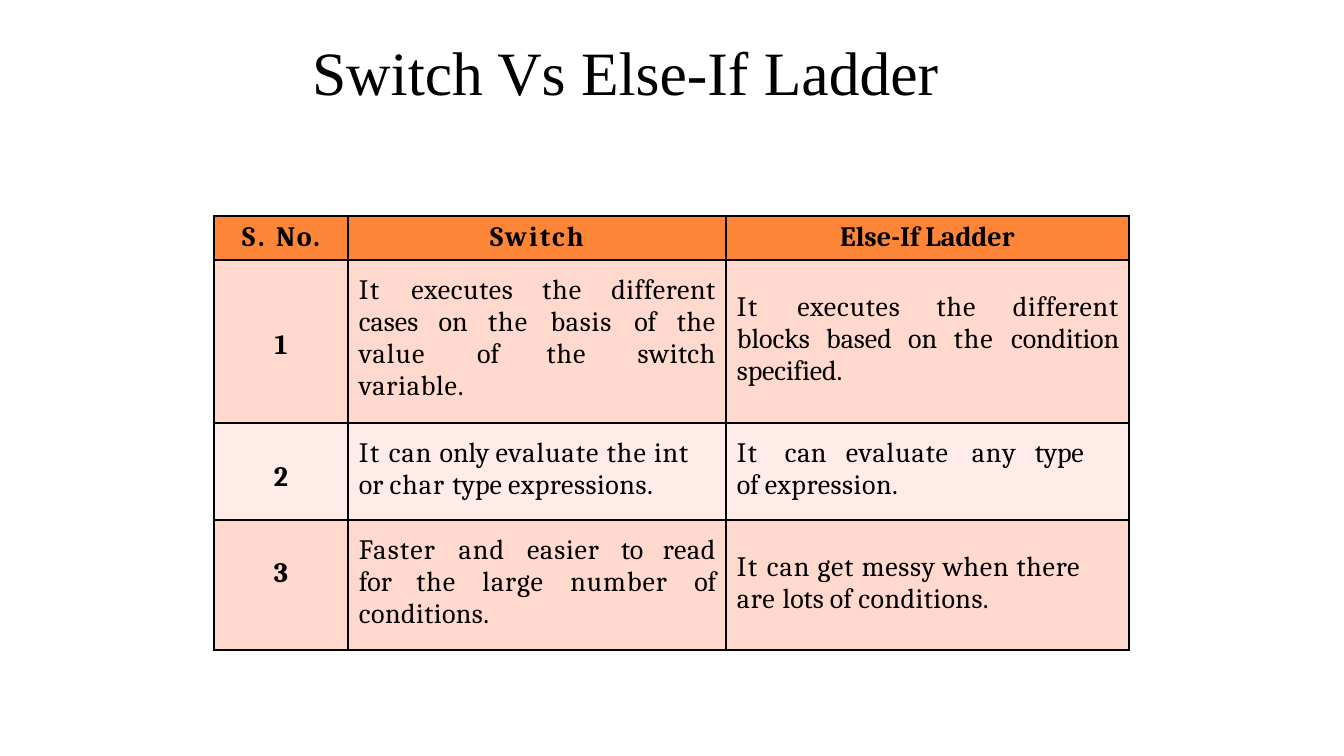
from lxml import etree
from pptx import Presentation
from pptx.dml.color import RGBColor
from pptx.enum.text import MSO_ANCHOR, PP_ALIGN
from pptx.oxml.ns import qn
from pptx.util import Pt

LEFT, CENTER, JUSTIFY = PP_ALIGN.LEFT, PP_ALIGN.CENTER, PP_ALIGN.JUSTIFY
MIDDLE = MSO_ANCHOR.MIDDLE
PX = 914400 / 100.8

# Content: each span is (text, letter spacing in points, word gap in spaces)
TITLE = "Switch Vs Else-If Ladder"
HEADER = [
    [("S. ", 1.9, 1), ("No.", 1.2, 1)],
    [("Switch", 1.6, 1)],
    [("Else-If Ladder", 0, 1)],
]
CASES = [("It ", 1.2, 2), ("executes ", 0.5, 2), ("the ", 0.7, 2), ("different ", 0.4, 1),
         ("cases on ", 0, 2), ("the ", 0.7, 2), ("basis ", 0.6, 2), ("of ", 0, 2),
         ("the ", 0.5, 1), ("value ", 0.8, 4), ("of ", 0, 4), ("the ", 0.7, 4),
         ("switch ", 0.4, 1), ("variable.", 0.6, 1)]
BLOCKS = [("It ", 1.2, 3), ("executes ", 0.6, 3), ("the ", 0.7, 3), ("different ", 0.5, 1),
          ("blocks based on ", 0, 1), ("the ", 0.7, 1), ("condition specified.", -0.1, 1)]
INT_ONLY = [("It ", 1.2, 1), ("can ", 0.7, 1), ("only ", 0, 1), ("evaluate ", 0.8, 1),
            ("the ", 0.7, 1), ("int ", 0.6, 1), ("or ", 0, 1), ("char ", 0.7, 1),
            ("type ", 0, 1), ("expressions.", 0.4, 1)]
ANY_TYPE = [("It\t", 1, 1), ("can\t", 0.4, 1), ("evaluate\t", 0.7, 1), ("any\t", 0.6, 1),
            ("type\tof ", -0.2, 1), ("expression.", 0.4, 1)]
FASTER = [("Faster ", 0.9, 2), ("and ", 0.8, 2), ("easier ", 0.6, 2), ("to ", 0, 2),
          ("read ", 0.4, 1), ("for ", 0, 2), ("the large number ", 0.7, 2),
          ("of ", -0.2, 1), ("conditions.", 0.3, 1)]
MESSY = [("It ", 1.2, 1), ("can get ", 0.7, 1), ("messy ", 0.5, 1), ("when ", 0.6, 1),
         ("there ", 0.5, 1), ("are ", 0.6, 1), ("lots of ", 0, 1), ("conditions.", 0.3, 1)]

# Each body row: fill, top inset of the number, then (spans, top inset, alignment)
BODY = [
    ("FFD9CE", 69, (CASES, 14, JUSTIFY), (BLOCKS, 31, JUSTIFY)),
    ("FFECE8", 38, (INT_ONLY, 14, LEFT), (ANY_TYPE, 14, LEFT)),
    ("FFD9CE", 37, (FASTER, 14, JUSTIFY), (MESSY, 31, LEFT)),
]
TAB_STOPS = [48, 109, 235, 298, 370]
COLUMNS = [134, 378, 403]
ROWS = [44, 163, 97, 130]
HEADER_FILL, BLACK = "FD8537", "000000"
SPACE_WIDTH = 5


def px(length):
    return round(length * PX)


def color(value):
    return RGBColor.from_string(value)


def add_span(para, text, spacing, bold):
    span = para.add_run()
    span.text = text
    span.font.name, span.font.size, span.font.bold = "Cambria", Pt(20), bold
    span.font.color.rgb = color(BLACK)
    span.font._element.set("spc", str(round(spacing * 100)))


def add_spans(para, spans, bold):
    for text, spacing, gap in spans:
        if gap == 1:
            add_span(para, text, spacing, bold)
            continue
        # Wide word gaps are letter spacing on the single space
        wide = spacing + (gap - 1) * (SPACE_WIDTH + spacing)
        for word in text.split():
            add_span(para, word, spacing, bold)
            add_span(para, " ", wide, bold)


def add_borders(cell):
    properties = cell._tc.get_or_add_tcPr()
    for side in ("a:lnL", "a:lnR", "a:lnT", "a:lnB"):
        line = etree.SubElement(properties, qn(side), w=str(Pt(1)))
        fill = etree.SubElement(line, qn("a:solidFill"))
        etree.SubElement(fill, qn("a:srgbClr"), val=BLACK)


def fill_cell(cell, spans, fill, top, align, left=0, right=0, bold=False):
    cell.margin_left, cell.margin_right = px(left), px(right)
    cell.margin_top, cell.margin_bottom = px(top), 0
    add_borders(cell)
    cell.fill.solid()
    cell.fill.fore_color.rgb = color(fill)
    para = cell.text_frame.paragraphs[0]
    para.alignment = align
    if any("\t" in text for text, _, _ in spans):
        stops = etree.SubElement(para._p.get_or_add_pPr(), qn("a:tabLst"))
        for stop in TAB_STOPS:
            etree.SubElement(stops, qn("a:tab"), pos=str(px(stop)), algn="l")
    add_spans(para, spans, bold)


deck = Presentation()
deck.slide_width, deck.slide_height = px(1344), px(756)
page = deck.slides.add_slide(deck.slide_layouts[6])

# Title
box = page.shapes.add_textbox(px(312), px(32), px(802), px(76))
frame = box.text_frame
frame.word_wrap = True
frame.vertical_anchor = MIDDLE
frame.margin_left = frame.margin_right = frame.margin_bottom = 0
frame.margin_top = px(1)
frame.text = TITLE
title_font = frame.paragraphs[0].runs[0].font
title_font.name, title_font.size = "Times New Roman", Pt(44)
title_font.color.rgb = color(BLACK)

# Table grid
table = page.shapes.add_table(len(ROWS), len(COLUMNS), px(214), px(216),
                              px(sum(COLUMNS)), px(sum(ROWS))).table
for column, width in zip(table.columns, COLUMNS):
    column.width = px(width)
for row, height in zip(table.rows, ROWS):
    row.height = px(height)

# Header row
for index, spans in enumerate(HEADER):
    fill_cell(table.cell(0, index), spans, HEADER_FILL, 5, CENTER, bold=True)

# Body rows
for number, (fill, number_top, *answers) in enumerate(BODY, start=1):
    fill_cell(table.cell(number, 0), [(str(number), -0.5, 1)], fill, number_top,
              CENTER, bold=True)
    for index, (spans, top, align) in enumerate(answers, start=1):
        fill_cell(table.cell(number, index), spans, fill, top, align, left=11, right=10)

deck.save("out.pptx")
